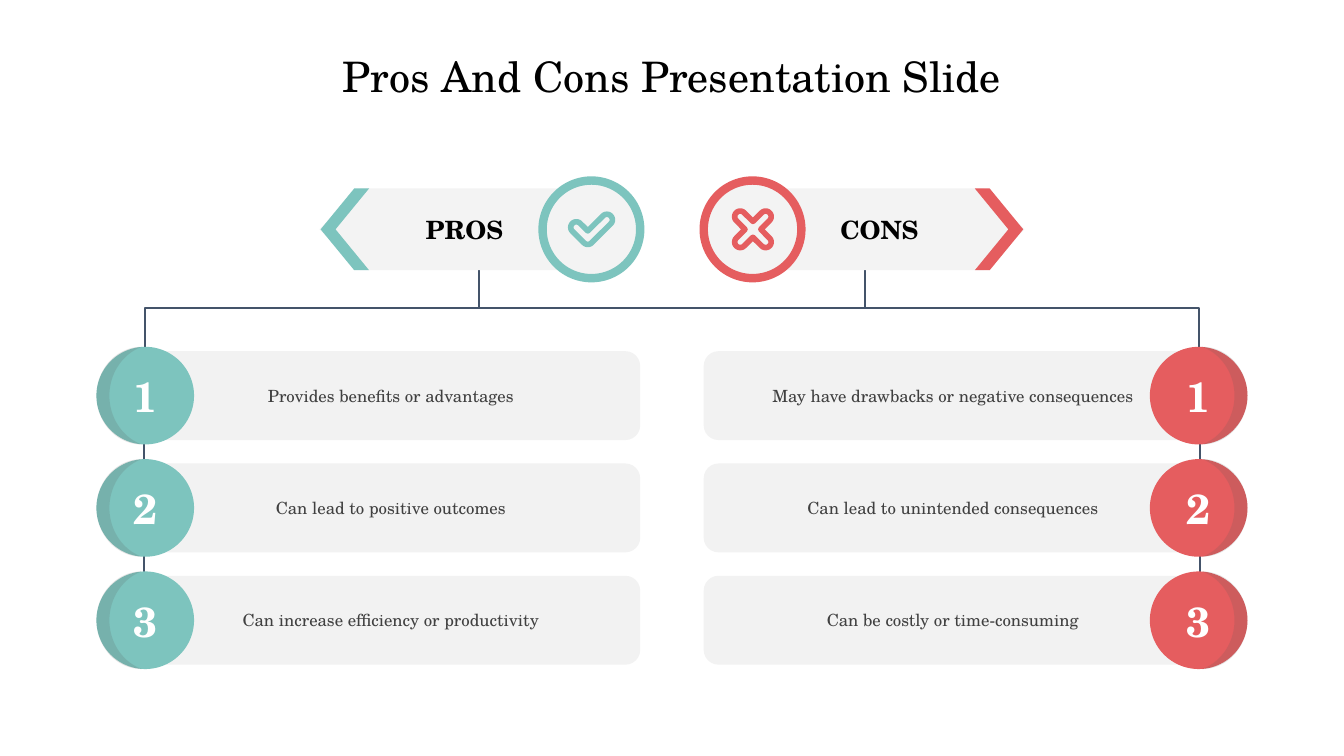
import math

from lxml import etree
from pptx import Presentation
from pptx.dml.color import RGBColor
from pptx.enum.shapes import MSO_CONNECTOR, MSO_SHAPE
from pptx.enum.text import MSO_ANCHOR, PP_ALIGN
from pptx.oxml.ns import qn
from pptx.util import Cm, Pt

ROUND_RECT, PENTAGON = MSO_SHAPE.ROUNDED_RECTANGLE, MSO_SHAPE.PENTAGON
OVAL, MOON, CHEVRON = MSO_SHAPE.OVAL, MSO_SHAPE.MOON, MSO_SHAPE.CHEVRON
SNIP = MSO_SHAPE.SNIP_2_DIAG_RECTANGLE
STRAIGHT, ELBOW = MSO_CONNECTOR.STRAIGHT, MSO_CONNECTOR.ELBOW
CENTER, MIDDLE = PP_ALIGN.CENTER, MSO_ANCHOR.MIDDLE

COLORS = {
    "teal": "7DC4BE", "red": "E55D5F", "bar": "F2F2F2", "plate": "F3F3F3",
    "line": "44546A", "shade": "595959", "body": "404040",
    "black": "000000", "white": "FFFFFF",
}
WIDTH, HEIGHT = 33.86, 19.05
DISC, ROW_TOP, ROW_STEP = 2.46, 8.74, 2.83
CHECK = [(0.39, -0.24, 0.14, -135, 45), (-0.09, 0.24, 0.14, 45, 135),
         (-0.38, -0.05, 0.14, 135, 315), (-0.09, 0.04, 0, 0, 0)]
CROSS = []
for turn in range(0, 360, 90):
    dx, dy = (round(f(math.radians(turn + 45)) * 0.45, 2) for f in (math.cos, math.sin))
    nx, ny = (round(f(math.radians(turn + 90)) * 0.2, 2) for f in (math.cos, math.sin))
    CROSS += [(dx, dy, 0.14, turn - 45, turn + 135), (nx, ny, 0, 0, 0)]

SIDES = [
    (False, "PROS", "teal", CHECK, [
        "Provides benefits or advantages",
        "Can lead to positive outcomes",
        "Can increase efficiency or productivity"]),
    (True, "CONS", "red", CROSS, [
        "May have drawbacks or negative consequences",
        "Can lead to unintended consequences",
        "Can be costly or time-consuming"]),
]


class Deck:
    """Draws styled elements, mirrored left to right when asked."""

    def __init__(self, font):
        self.font = font
        self.prs = Presentation()
        self.prs.slide_width, self.prs.slide_height = Cm(WIDTH), Cm(HEIGHT)
        self.slide = self.prs.slides.add_slide(self.prs.slide_layouts[6])
        self.mirrored = False

    def color(self, name):
        return RGBColor.from_string(COLORS[name])

    def left(self, x, w):
        return Cm(WIDTH - x - w if self.mirrored else x)

    def text(self, s, text, size, color, bold=False):
        tf = s.text_frame
        tf.word_wrap = True
        tf.vertical_anchor = MIDDLE
        p = tf.paragraphs[0]
        p.alignment = CENTER
        r = p.add_run()
        r.text = text
        r.font.name, r.font.size, r.font.bold = self.font, Pt(size), bold
        r.font.color.rgb = self.color(color)

    def title(self, text, x, y, w, h):
        s = self.slide.shapes.add_textbox(Cm(x), Cm(y), Cm(w), Cm(h))
        self.text(s, text, 30, "black")

    def paint(self, s, fill=None, line=None, width=0):
        s.shadow.inherit = False
        if fill:
            s.fill.solid()
            s.fill.fore_color.rgb = self.color(fill)
        else:
            s.fill.background()
        if line:
            s.line.color.rgb = self.color(line)
            s.line.width = Pt(width)
        else:
            s.line.fill.background()

    def shape(self, kind, x, y, w, h, fill=None, line=None, flip=False, adj=None):
        s = self.slide.shapes.add_shape(kind, self.left(x, w), Cm(y), Cm(w), Cm(h))
        self.paint(s, fill, line, 6)
        if adj is not None:
            s.adjustments[0] = adj
        if flip:
            s._element.spPr.find(qn("a:xfrm")).set("flipH", "1")
        return s

    def moon(self, x, y, w, h):
        s = self.shape(MOON, x, y, w, h, "shade", flip=self.mirrored, adj=0.287)
        tint = s._element.spPr.find(qn("a:solidFill"))[0]
        etree.SubElement(tint, qn("a:alpha")).set("val", "17000")

    def connector(self, kind, x, y, w, h, angle=0, flip=False):
        x = self.left(x, w)
        s = self.slide.shapes.add_connector(kind, x, Cm(y), x + Cm(w), Cm(y + h))
        s.line.color.rgb = self.color("line")
        s.line.width = Pt(1.5)
        etree.SubElement(s._element.spPr, qn("a:effectLst"))
        xfrm = s._element.spPr.find(qn("a:xfrm"))
        if angle:
            xfrm.set("rot", str(angle * 60000))
        if flip:
            xfrm.set("flipH", "1")

    def icon(self, arcs, cx, cy, color):
        points = []
        for ax, ay, radius, start, end in arcs:
            for a in range(start, end + 1, 15):
                points.append((Cm(cx + ax + radius * math.cos(math.radians(a))),
                               Cm(cy + ay + radius * math.sin(math.radians(a)))))
        builder = self.slide.shapes.build_freeform(*points[0])
        builder.add_line_segments(points[1:], close=True)
        s = builder.convert_to_shape()
        self.paint(s, line=color, width=4)
        etree.SubElement(s.line._get_or_add_ln(), qn("a:round"))

    def backdrop(self):
        for row in range(3):
            self.shape(ROUND_RECT, 3.58, ROW_TOP + 0.11 + row * ROW_STEP, 12.55, 2.24,
                       "bar", flip=self.mirrored)
        self.connector(STRAIGHT, 3.63, ROW_TOP, 0, 8.13)
        self.connector(ELBOW, 11.76, -1.3, 1.93, 18.14,
                       270 if self.mirrored else 90, self.mirrored)

    def header(self, name, color, arcs):
        s = self.shape(PENTAGON, 8.05, 4.75, 7.04, 2.06, "plate",
                       flip=not self.mirrored, adj=0.5)
        self.text(s, name, 18, "black", True)
        tf = s.text_frame
        if self.mirrored:
            tf.margin_right = 0
        else:
            tf.margin_left = 0
        self.shape(OVAL, 13.67, 4.55, DISC, DISC, "plate", color)
        self.icon(arcs, 18.97 if self.mirrored else 14.9, 5.78, color)
        self.shape(CHEVRON, 8.08, 4.75, 1.22, 2.06, color,
                   flip=not self.mirrored, adj=0.693)

    def item(self, number, text, color):
        y = ROW_TOP + (number - 1) * ROW_STEP
        s = self.shape(OVAL, 2.43, y, DISC, DISC, color)
        self.text(s, str(number), 30, "white", True)
        self.moon(2.43, y, 1.14, DISC)
        s = self.shape(SNIP, 4.68, y + 0.77, 10.34, 0.91)
        self.text(s, text, 12, "body")


def main():
    deck = Deck("TeX Gyre Schola")
    deck.title("Pros And Cons Presentation Slide", 0, 1.14, WIDTH, 1.55)
    for deck.mirrored, *_ in SIDES:
        deck.backdrop()
    for deck.mirrored, name, color, arcs, items in SIDES:
        deck.header(name, color, arcs)
        for number, text in enumerate(items, 1):
            deck.item(number, text, color)
    deck.prs.save("out.pptx")


if __name__ == "__main__":
    main()
